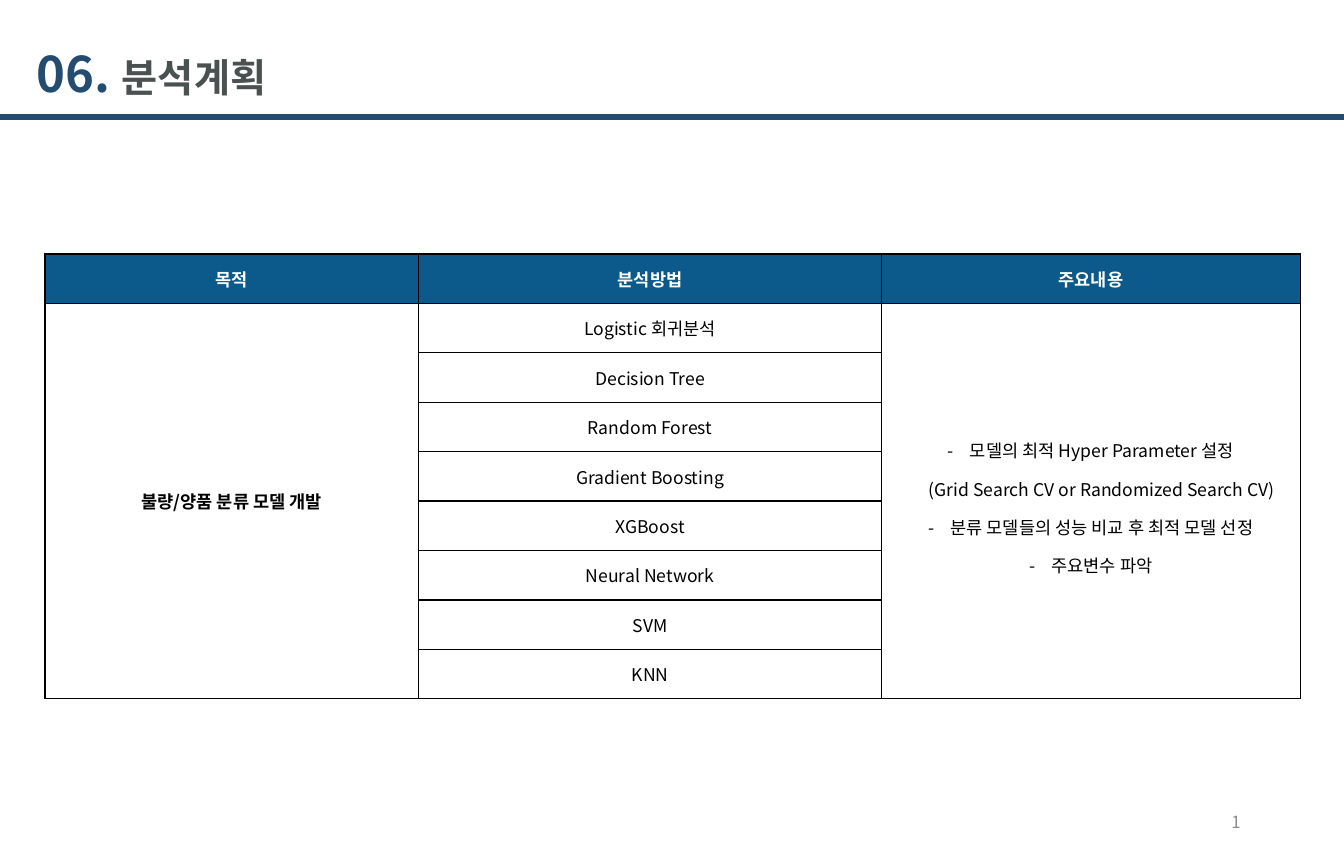
from dataclasses import dataclass

from lxml.etree import SubElement
from pptx import Presentation
from pptx.dml.color import RGBColor
from pptx.enum.shapes import MSO_CONNECTOR
from pptx.enum.text import MSO_ANCHOR as ANCHOR, MSO_AUTO_SIZE, PP_ALIGN as ALIGN
from pptx.oxml.ns import qn
from pptx.util import Inches, Pt

FONT = "Noto Sans CJK KR"
COLORS = {
    "navy": "244C70",
    "title": "4B5151",
    "header": "0B5A8B",
    "white": "FFFFFF",
    "black": "000000",
    "gray": "8C8C8C",
}
HEADERS = ["목적", "분석방법", "주요내용"]
PURPOSE = "불량/양품 분류 모델 개발"
METHODS = [
    "Logistic 회귀분석", "Decision Tree", "Random Forest", "Gradient Boosting",
    "XGBoost", "Neural Network", "SVM", "KNN",
]
DETAILS = [
    "모델의 최적 Hyper Parameter 설정\n(Grid Search CV or Randomized Search CV)",
    "분류 모델들의 성능 비교 후 최적 모델 선정",
    "주요변수 파악",
]
COL_WIDTHS = [3.25, 4.03, 3.64]
ROW_HEIGHT = 0.43


@dataclass
class CellText:
    row: int
    col: int
    lines: list[str]
    color: str = "black"
    bold: bool = False
    bullet: bool = False


def rgb(name: str) -> RGBColor:
    return RGBColor.from_string(COLORS[name])


def add_text(p, text: str, *, size: float, color: str, bold: bool = False, align=ALIGN.LEFT) -> None:
    """Append formatted text to a paragraph; a newline becomes a line break."""
    p.alignment = align
    for i, line in enumerate(text.split("\n")):
        if i:
            p.add_line_break()
        r = p.add_run()
        r.text = line
        r.font.name = FONT
        r.font.size = Pt(size)
        r.font.bold = bold
        r.font.color.rgb = rgb(color)
        SubElement(r.font._element, qn("a:ea"), typeface=FONT)


def set_dash_bullet(p) -> None:
    p.line_spacing = 1.5
    pPr = p._p.get_or_add_pPr()
    pPr.set("marL", str(Inches(0.19)))
    pPr.set("indent", str(Inches(-0.19)))
    SubElement(pPr, qn("a:buFont"), typeface=FONT)
    SubElement(pPr, qn("a:buChar"), char="-")


def set_borders(cell) -> None:
    tcPr = cell._tc.get_or_add_tcPr()
    for side in ("lnL", "lnR", "lnT", "lnB"):
        ln = SubElement(tcPr, qn(f"a:{side}"), w=str(Pt(1)))
        fill = SubElement(ln, qn("a:solidFill"))
        SubElement(fill, qn("a:srgbClr"), val=COLORS["black"])


def add_title(s) -> None:
    title = s.shapes.title
    title.left, title.top = Inches(0.22), Inches(0.33)
    title.width, title.height = Inches(5.88), Inches(0.62)
    tf = title.text_frame
    tf.word_wrap = True
    tf.auto_size = MSO_AUTO_SIZE.SHAPE_TO_FIT_TEXT
    tf.vertical_anchor = ANCHOR.TOP
    p = tf.paragraphs[0]
    add_text(p, "06. ", size=30.7, color="navy", bold=True)
    add_text(p, "분석계획", size=24.6, color="title", bold=True)


def add_title_rule(s, width: int) -> None:
    y = Inches(1.02)
    rule = s.shapes.add_connector(MSO_CONNECTOR.STRAIGHT, 0, y, width, y)
    rule.line.color.rgb = rgb("navy")
    rule.line.width = Pt(4)
    SubElement(rule._element.spPr, qn("a:effectLst"))


def add_page_number(s) -> None:
    box = s.shapes.add_textbox(Inches(8.26), Inches(6.95), Inches(2.63), Inches(0.4))
    tf = box.text_frame
    tf.word_wrap = True
    tf.vertical_anchor = ANCHOR.MIDDLE
    add_text(tf.paragraphs[0], "1", size=10.5, color="gray", align=ALIGN.RIGHT)


def fill_cell(table, item: CellText) -> None:
    tf = table.cell(item.row, item.col).text_frame
    for i, line in enumerate(item.lines):
        p = tf.add_paragraph() if i else tf.paragraphs[0]
        add_text(p, line, size=11, color=item.color, bold=item.bold, align=ALIGN.CENTER)
        if item.bullet:
            set_dash_bullet(p)


def add_plan_table(s) -> None:
    n_rows = len(METHODS) + 1
    table = s.shapes.add_table(
        n_rows, len(HEADERS), Inches(0.39), Inches(2.21),
        Inches(sum(COL_WIDTHS)), Inches(ROW_HEIGHT * n_rows),
    ).table
    table.horz_banding = False
    for column, width in zip(table.columns, COL_WIDTHS):
        column.width = Inches(width)
    for r, row in enumerate(table.rows):
        row.height = Inches(ROW_HEIGHT)
        for cell in row.cells:
            set_borders(cell)
            cell.vertical_anchor = ANCHOR.MIDDLE
            cell.margin_left = cell.margin_right = Inches(0.09)
            cell.margin_top = cell.margin_bottom = Inches(0.04)
            if r == 0:
                cell.fill.solid()
                cell.fill.fore_color.rgb = rgb("header")
            else:
                cell.fill.background()
    for col in (0, 2):
        table.cell(1, col).merge(table.cell(n_rows - 1, col))

    items = [CellText(0, c, [text], "white", bold=True) for c, text in enumerate(HEADERS)]
    items += [CellText(r, 1, [text]) for r, text in enumerate(METHODS, 1)]
    items += [CellText(1, 0, [PURPOSE], bold=True), CellText(1, 2, DETAILS, bullet=True)]
    for item in items:
        fill_cell(table, item)


def main() -> None:
    prs = Presentation()
    prs.slide_width, prs.slide_height = Inches(11.69), Inches(7.5)
    s = prs.slides.add_slide(prs.slide_layouts[5])
    add_page_number(s)
    add_title_rule(s, prs.slide_width)
    add_title(s)
    add_plan_table(s)
    prs.save("out.pptx")


if __name__ == "__main__":
    main()
